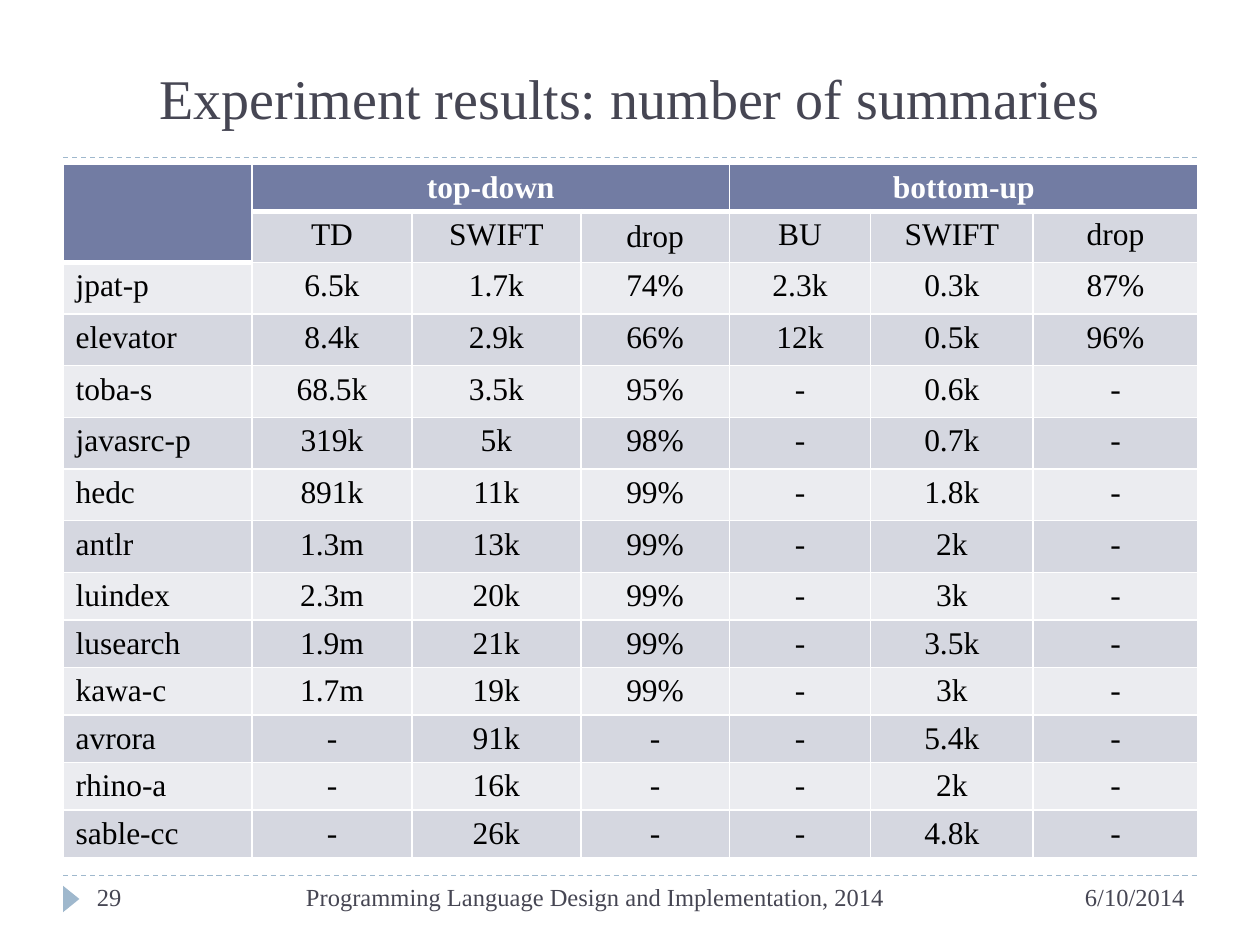
from lxml import etree
from pptx import Presentation
from pptx.dml.color import RGBColor
from pptx.enum.dml import MSO_LINE
from pptx.enum.shapes import MSO_CONNECTOR, MSO_SHAPE
from pptx.enum.text import MSO_ANCHOR as ANCHOR, PP_ALIGN as ALIGN
from pptx.oxml.ns import qn
from pptx.util import Inches, Pt

FONT = "Times New Roman"
WHITE = RGBColor(0xFF, 0xFF, 0xFF)
BLACK = RGBColor(0, 0, 0)
INK = RGBColor(0x46, 0x46, 0x53)
SKY = RGBColor(0x9F, 0xB8, 0xCD)
HEAD = RGBColor(0x72, 0x7C, 0xA3)
BANDS = [RGBColor(0xEB, 0xEC, 0xF0), RGBColor(0xD5, 0xD7, 0xE0)]

ROWS = [
    ["", "top-down", "", "", "bottom-up", "", ""],
    ["", "TD", "SWIFT", "drop", "BU", "SWIFT", "drop"],
    ["jpat-p", "6.5k", "1.7k", "74%", "2.3k", "0.3k", "87%"],
    ["elevator", "8.4k", "2.9k", "66%", "12k", "0.5k", "96%"],
    ["toba-s", "68.5k", "3.5k", "95%", "-", "0.6k", "-"],
    ["javasrc-p", "319k", "5k", "98%", "-", "0.7k", "-"],
    ["hedc", "891k", "11k", "99%", "-", "1.8k", "-"],
    ["antlr", "1.3m", "13k", "99%", "-", "2k", "-"],
    ["luindex", "2.3m", "20k", "99%", "-", "3k", "-"],
    ["lusearch", "1.9m", "21k", "99%", "-", "3.5k", "-"],
    ["kawa-c", "1.7m", "19k", "99%", "-", "3k", "-"],
    ["avrora", "-", "91k", "-", "-", "5.4k", "-"],
    ["rhino-a", "-", "16k", "-", "-", "2k", "-"],
    ["sable-cc", "-", "26k", "-", "-", "4.8k", "-"],
]
COL_WIDTHS = [1.5, 1.27, 1.34, 1.18, 1.12, 1.29, 1.31]
ROW_HEIGHTS = [0.35] * 2 + [0.41] * 6 + [0.2] * 6  # short rows grow to fit


def write(p, text, align, **font):
    p.alignment = align
    r = p.add_run()
    r.text = text
    r.font.name = FONT
    r.font.color.rgb = font.pop("color")
    for name, value in font.items():
        setattr(r.font, name, value)


def set_borders(cell, widths):
    tcPr = cell._tc.get_or_add_tcPr()
    for side, width in widths.items():
        ln = etree.SubElement(tcPr, qn(f"a:ln{side}"), w=str(Pt(width)))
        fill = etree.SubElement(ln, qn("a:solidFill"))
        etree.SubElement(fill, qn("a:srgbClr"), val=str(WHITE))


prs = Presentation()
prs.slide_width, prs.slide_height = Inches(10), Inches(7.5)
s = prs.slides.add_slide(prs.slide_layouts[6])

# Dashed rules above and below the content
for y in (6.95, 1.25):
    rule = s.shapes.add_connector(MSO_CONNECTOR.STRAIGHT, Inches(0.5), Inches(y),
                                  Inches(9.5), Inches(y))
    rule.line.color.rgb = SKY
    rule.line.width = Pt(0.75)
    rule.line.dash_style = MSO_LINE.DASH
    etree.SubElement(rule._element.spPr, qn("a:effectLst"))

# Page marker
sp = s.shapes.add_shape(MSO_SHAPE.ISOSCELES_TRIANGLE, Inches(0.46), Inches(7.07),
                        Inches(0.21), Inches(0.13))
sp.rotation = 90
sp.shadow.inherit = False
sp.fill.solid()
sp.fill.fore_color.rgb = SKY
sp.line.fill.background()

# Results table
frame = s.shapes.add_table(len(ROWS), len(COL_WIDTHS), Inches(0.5), Inches(1.3),
                           Inches(9), Inches(5.63))
table = frame.table
table.first_row = table.horz_banding = False
for col, width in zip(table.columns, COL_WIDTHS):
    col.width = Inches(width)
for row, height in zip(table.rows, ROW_HEIGHTS):
    row.height = Inches(height)
frame.height = Inches(5.63)

for i, values in enumerate(ROWS):
    for j, text in enumerate(values):
        cell = table.cell(i, j)
        is_head = i == 0 or (i == 1 and j == 0)
        below_head = i == (2 if j == 0 else 1)
        set_borders(cell, {"L": 1, "R": 1, "T": 3 if below_head else 1,
                           "B": 3 if is_head else 1})
        cell.fill.solid()
        cell.fill.fore_color.rgb = HEAD if is_head else BANDS[i % 2]
        if j:
            cell.margin_left = cell.margin_right = 0
        if text:
            write(cell.text_frame.paragraphs[0], text,
                  ALIGN.CENTER if j else ALIGN.LEFT, size=Pt(18),
                  bold=is_head, color=WHITE if is_head else BLACK)
table.cell(1, 3).vertical_anchor = ANCHOR.MIDDLE

# Header groups
for first, last in [((0, 0), (1, 0)), ((0, 1), (0, 3)), ((0, 4), (0, 6))]:
    table.cell(*first).merge(table.cell(*last))

# Title and footer texts
for text, box, size, align, anchor in [
    ("6/10/2014", (7, 6.95, 2.5, 0.4), 14, ALIGN.RIGHT, ANCHOR.TOP),
    ("29", (0.67, 6.95, 0.89, 0.4), 14, ALIGN.LEFT, ANCHOR.TOP),
    ("Experiment results: number of summaries", (0.5, 0.17, 9, 0.92), 32,
     ALIGN.CENTER, ANCHOR.BOTTOM),
    ("Programming Language Design and Implementation, 2014",
     (1.56, 6.95, 6.33, 0.4), 14, ALIGN.CENTER, ANCHOR.TOP),
]:
    tf = s.shapes.add_textbox(*map(Inches, box)).text_frame
    tf.word_wrap = True
    tf.vertical_anchor = anchor
    write(tf.paragraphs[0], text, align, size=Pt(size), color=INK)

prs.save("out.pptx")
